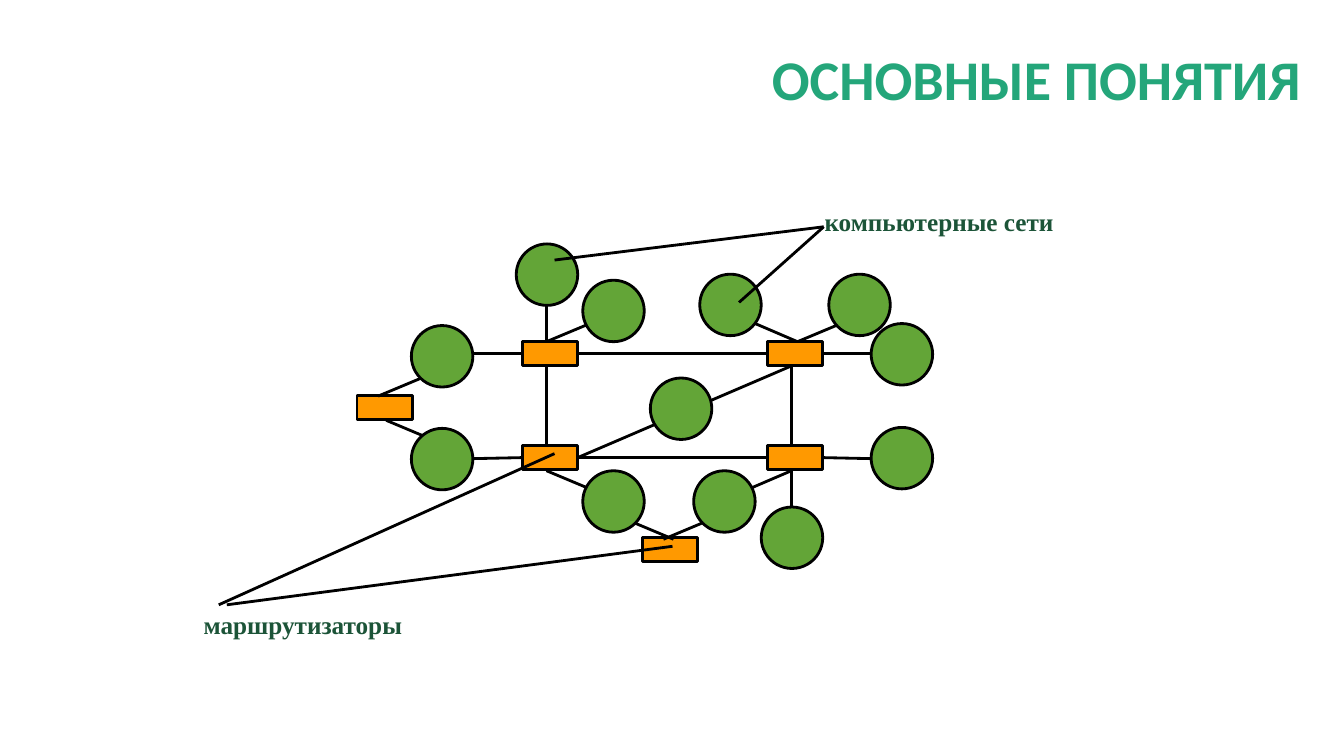
import pptx
import pptx.util
import pptx.dml.color
import pptx.enum.shapes
import pptx.enum.text
import lxml.etree

RGB = pptx.dml.color.RGBColor.from_string
KIND = pptx.enum.shapes.MSO_SHAPE
TEXT = pptx.enum.text
PX = 9144  # 100 px to the inch

THEME = {
    "node": RGB("FF9900"),
    "net": RGB("63A537"),
    "line": RGB("000000"),
    "width": pptx.util.Pt(2),
    "title": {"name": "Calibri", "size": pptx.util.Pt(40), "bold": True},
    "label": {"name": "Times New Roman", "size": pptx.util.Pt(18), "bold": True},
    "head": RGB("24A67A"),
    "note": RGB("1C5438"),
}

deck = pptx.Presentation()
deck.slide_width, deck.slide_height = 1333 * PX, 750 * PX
slide = deck.slides.add_slide(deck.slide_layouts[5])
parts = slide.shapes


def draw(kind, box, fill):
    """Add an outlined shape without shadow."""
    shape = parts.add_shape(kind, *[n * PX for n in box])
    shape.shadow.inherit = False
    shape.fill.solid()
    shape.fill.fore_color.rgb = fill
    shape.line.color.rgb = THEME["line"]
    shape.line.width = THEME["width"]
    return shape


def link(start, end):
    """Join two ends, each a point (x, y) or a router side (name, site)."""
    spots = [(0, 0) if p[0] in nodes else p for p in (start, end)]
    wire = parts.add_connector(
        pptx.enum.shapes.MSO_CONNECTOR.STRAIGHT,
        *[n * PX for spot in spots for n in spot])
    for spot, join in ((start, wire.begin_connect), (end, wire.end_connect)):
        if spot[0] in nodes:
            join(nodes[spot[0]], spot[1])
    wire.line.color.rgb = THEME["line"]
    wire.line.width = THEME["width"]
    props = wire._element.spPr
    lxml.etree.SubElement(props, pptx.oxml.ns.qn("a:effectLst"))


# Title
title = parts.title
place = {"left": 647, "top": 14, "width": 653, "height": 136}
for key, value in place.items():
    setattr(title, key, value * PX)
frame = title.text_frame
frame.text = "ОСНОВНЫЕ ПОНЯТИЯ"
frame.auto_size = TEXT.MSO_AUTO_SIZE.NONE
frame.vertical_anchor = TEXT.MSO_ANCHOR.MIDDLE
para = frame.paragraphs[0]
para.alignment = TEXT.PP_ALIGN.RIGHT
para.line_spacing = 0.9
font = para.runs[0].font
for key, value in THEME["title"].items():
    setattr(font, key, value)
font.color.rgb = THEME["head"]

# Routers
spots = {
    "nw": (518, 339), "ne": (761, 339),
    "sw": (518, 442), "se": (761, 442),
    "south": (637, 533), "west": (354, 392),
}
nodes = {name: draw(KIND.RECTANGLE, (*spot, 55, 24), THEME["node"])
         for name, spot in spots.items()}

# Links between routers and networks
for start, end in [
    ((469, 351), ("nw", 1)), ((469, 455), ("sw", 1)),
    (("ne", 3), (864, 351)), (("se", 3), (864, 455)),
    (("nw", 3), ("ne", 1)), (("sw", 3), ("se", 1)),
    ((542, 363), (542, 442)), ((785, 363), (785, 442)),
    ((785, 363), ("sw", 3)),
    ((542, 296), (542, 339)), ((585, 321), (542, 339)),
    ((749, 321), (791, 339)), ((834, 321), (791, 339)),
    ((542, 467), (585, 485)), ((785, 467), (743, 485)),
    ((785, 467), (785, 509)),
    ((625, 517), (668, 535)), ((701, 517), (658, 535)),
    ((418, 375), (375, 393)), ((383, 417), (426, 435)),
]:
    link(start, end)

# Networks
for x, y in [
    (864, 321), (864, 424), (694, 272), (578, 467), (645, 375), (512, 242),
    (578, 278), (822, 272), (755, 503), (688, 467), (408, 323), (408, 425),
]:
    draw(KIND.OVAL, (x, y, 61, 61), THEME["net"])

# Pointers from the labels
for start, end in [
    ((550, 258), (817, 225)), ((733, 300), (817, 225)),
    ((667, 542), (225, 600)), ((550, 450), (217, 600)),
]:
    link(start, end)

# Labels
for text, box in [
    ("компьютерные сети", (808, 200, 250, 40)),
    ("маршрутизаторы", (192, 600, 219, 40)),
]:
    frame = parts.add_textbox(*[n * PX for n in box]).text_frame
    frame.text = text
    frame.word_wrap = False
    frame.auto_size = TEXT.MSO_AUTO_SIZE.SHAPE_TO_FIT_TEXT
    font = frame.paragraphs[0].runs[0].font
    for key, value in THEME["label"].items():
        setattr(font, key, value)
    font.color.rgb = THEME["note"]

deck.save("out.pptx")
